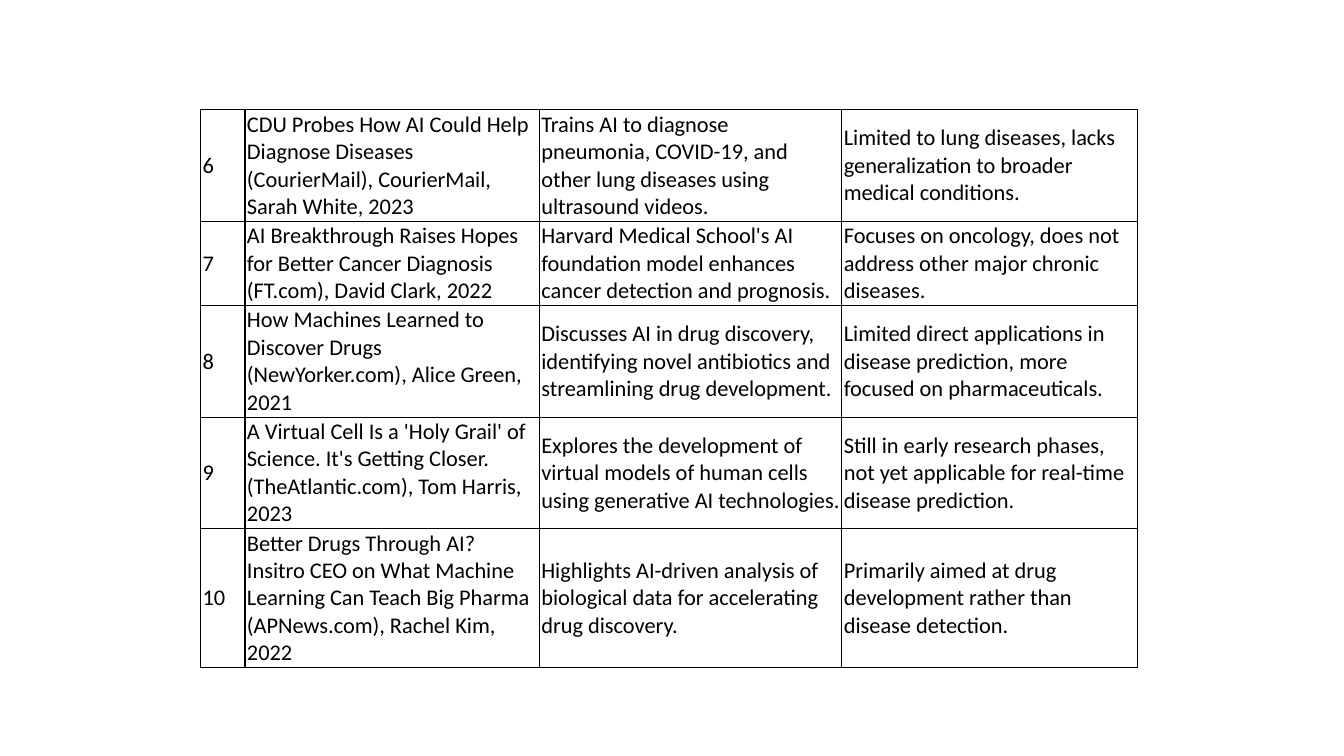
from dataclasses import astuple, dataclass

from lxml import etree
from pptx import Presentation
from pptx.dml.color import RGBColor
from pptx.enum import text
from pptx.oxml import ns
from pptx.util import Inches, Pt

COLORS = {"ink": "000000"}
FONT = "Calibri"
COLUMN_WIDTHS = (0.44, 2.92, 3.0, 2.93)
LINE_HEIGHT = 0.27  # one line of 16 pt text


@dataclass
class Study:
    number: str
    citation: str
    contribution: str
    limitation: str


# Each study with the number of lines its row holds
STUDIES = [
    (4, Study(
        "6",
        "CDU Probes How AI Could Help Diagnose Diseases (CourierMail), CourierMail, Sarah White, 2023",
        "Trains AI to diagnose pneumonia, COVID-19, and other lung diseases using ultrasound videos.",
        "Limited to lung diseases, lacks generalization to broader medical conditions.")),
    (3, Study(
        "7",
        "AI Breakthrough Raises Hopes for Better Cancer Diagnosis (FT.com), David Clark, 2022",
        "Harvard Medical School's AI foundation model enhances cancer detection and prognosis.",
        "Focuses on oncology, does not address other major chronic diseases.")),
    (4, Study(
        "8",
        "How Machines Learned to Discover Drugs (NewYorker.com), Alice Green, 2021",
        "Discusses AI in drug discovery, identifying novel antibiotics and streamlining drug development.",
        "Limited direct applications in disease prediction, more focused on pharmaceuticals.")),
    (4, Study(
        "9",
        "A Virtual Cell Is a 'Holy Grail' of Science. It's Getting Closer. (TheAtlantic.com), Tom Harris, 2023",
        "Explores the development of virtual models of human cells using generative AI technologies.",
        "Still in early research phases, not yet applicable for real-time disease prediction.")),
    (5, Study(
        "10",
        "Better Drugs Through AI? Insitro CEO on What Machine Learning Can Teach Big Pharma "
        "(APNews.com), Rachel Kim, 2022",
        "Highlights AI-driven analysis of biological data for accelerating drug discovery.",
        "Primarily aimed at drug development rather than disease detection.")),
]


def add_borders(cell) -> None:
    """Draw a 1 pt line on all four sides of a cell."""
    properties = cell._tc.get_or_add_tcPr()
    for side in ("a:lnL", "a:lnR", "a:lnT", "a:lnB"):
        border = etree.SubElement(properties, ns.qn(side), w=str(Pt(1)))
        fill = etree.SubElement(border, ns.qn("a:solidFill"))
        etree.SubElement(fill, ns.qn("a:srgbClr"), val=COLORS["ink"])


def fill_cell(cell, content: str) -> None:
    """Write and format one cell."""
    cell.text_frame.text = content
    cell.vertical_anchor = text.MSO_ANCHOR.MIDDLE
    cell.margin_left = cell.margin_right = Inches(0.02)
    cell.margin_top = cell.margin_bottom = Inches(0.01)
    font = cell.text_frame.paragraphs[0].runs[0].font
    font.name, font.size, font.bold = FONT, Pt(16), False
    font.color.rgb = RGBColor.from_string(COLORS["ink"])
    add_borders(cell)
    cell.fill.background()


def add_study_table(slide) -> None:
    """Add the literature table, one row per study."""
    heights = [lines * LINE_HEIGHT + 0.02 for lines, _ in STUDIES]
    table = slide.shapes.add_table(
        len(STUDIES), len(COLUMN_WIDTHS), Inches(1.99), Inches(1.09),
        Inches(sum(COLUMN_WIDTHS)), Inches(sum(heights))).table
    table.first_row = table.horz_banding = False
    for column, width in zip(table.columns, COLUMN_WIDTHS):
        column.width = Inches(width)
    for row, height, (_, study) in zip(table.rows, heights, STUDIES):
        row.height = Inches(height)
        for cell, content in zip(row.cells, astuple(study)):
            fill_cell(cell, content)


def main() -> None:
    presentation = Presentation()
    presentation.slide_width = Inches(13.33)
    presentation.slide_height = Inches(7.5)
    # The slide has no title, so it takes the blank layout
    slide = presentation.slides.add_slide(presentation.slide_layouts[6])
    add_study_table(slide)
    presentation.save("out.pptx")


if __name__ == "__main__":
    main()
